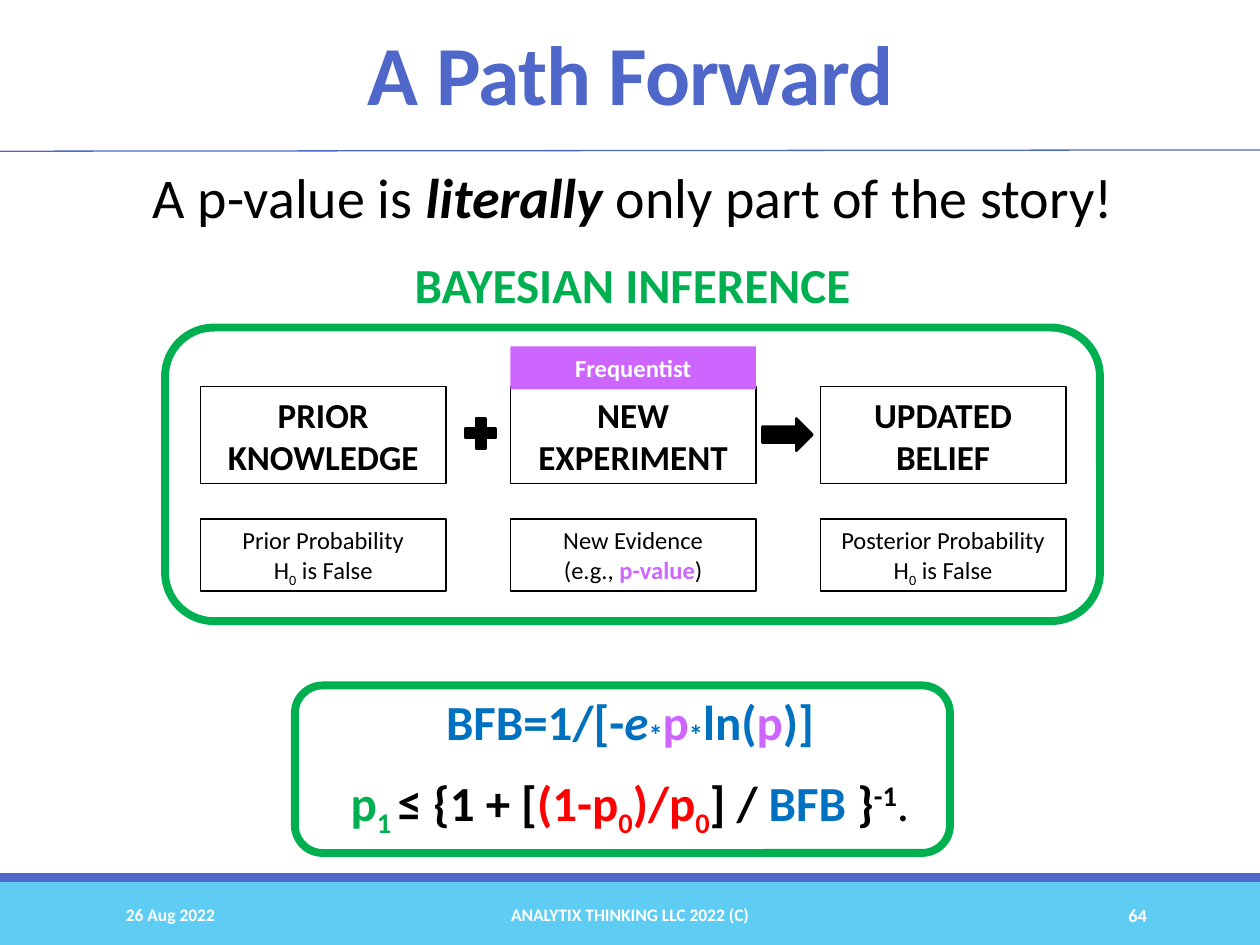
from pptx import Presentation
from pptx.dml.color import RGBColor
from pptx.enum.shapes import MSO_CONNECTOR, MSO_SHAPE
from pptx.enum.text import MSO_ANCHOR, PP_ALIGN
from pptx.util import Inches, Pt
from lxml.etree import SubElement
from pptx.oxml.ns import qn

COLORS = {
    "black": "000000", "white": "FFFFFF", "indigo": "4E67C8", "sky": "5ECCF3",
    "green": "00B050", "violet": "CC66FF", "blue": "0070C0", "red": "FF0000",
}

prs = Presentation()
prs.slide_width, prs.slide_height = Inches(10), Inches(7.5)
slide = prs.slides.add_slide(prs.slide_layouts[6])


def add_box(box, geometry=None, fill=None, line=None, width=0.75):
    """Add a preset shape, or a text box when no geometry is given."""
    place = [Inches(length) for length in box]
    if geometry is None:
        shape = slide.shapes.add_textbox(*place)
    else:
        shape = slide.shapes.add_shape(geometry, *place)
        shape.shadow.inherit = False
        if fill:
            shape.fill.solid()
            shape.fill.fore_color.rgb = RGBColor.from_string(COLORS[fill])
        else:
            shape.fill.background()
        if line:
            shape.line.color.rgb = RGBColor.from_string(COLORS[line])
            shape.line.width = Pt(width)
        else:
            shape.line.fill.background()
    shape.text_frame.word_wrap = True
    return shape


def write(shape, paragraphs, size, color="black", bold=False,
          align=PP_ALIGN.CENTER, anchor=MSO_ANCHOR.TOP):
    """Fill a shape; a run is (text, overrides) with color, bold, italic, base."""
    frame = shape.text_frame
    frame.vertical_anchor = anchor
    for index, runs in enumerate(paragraphs):
        paragraph = frame.add_paragraph() if index else frame.paragraphs[0]
        paragraph.alignment = align
        for text, look in runs:
            run = paragraph.add_run()
            run.text = text
            run.font.name = "Calibri"
            run.font.size = Pt(size)
            run.font.bold = look.get("bold", bold)
            run.font.italic = look.get("italic", False)
            run.font.color.rgb = RGBColor.from_string(COLORS[look.get("color", color)])
            if "base" in look:
                run.font._element.set("baseline", str(look["base"] * 1000))
    return frame


# Footer bands and title rule
add_box((0, 7, 10, 0.5), MSO_SHAPE.RECTANGLE, fill="sky")
add_box((0, 6.93, 10, 0.07), MSO_SHAPE.RECTANGLE, fill="indigo")
title_rule = slide.shapes.add_connector(
    MSO_CONNECTOR.STRAIGHT, Inches(0), Inches(1.2), Inches(10), Inches(1.19))
title_rule.line.color.rgb = RGBColor.from_string(COLORS["indigo"])
title_rule.line.width = Pt(0.75)
SubElement(title_rule._element.spPr, qn("a:effectLst"))

# Footer text
for left, width, text, size, align in (
    (0.9, 2.03, "26 Aug 2022", 10, PP_ALIGN.LEFT),
    (3.02, 3.96, "ANALYTIX THINKING LLC 2022 (C)", 10, PP_ALIGN.CENTER),
    (8.12, 1.08, "64", 10.5, PP_ALIGN.RIGHT),
):
    write(add_box((left, 7.06, width, 0.4)), [[(text, {})]], size, "white", True,
          align, MSO_ANCHOR.MIDDLE)

# Title and message
title = write(add_box((0.88, 0.16, 8.25, 0.86)), [[("A Path Forward", {})]],
              48, "indigo", True, anchor=MSO_ANCHOR.BOTTOM)
title.paragraphs[0].line_spacing = 0.85
title.paragraphs[0].runs[0].font._element.set("spc", "-50")

message = write(add_box((0.9, 1.3, 8.25, 0.62)), [[
    ("A p-value is ", {}),
    ("literally", {"bold": True, "italic": True}),
    (" only part of the story!", {}),
]], 32)
message.margin_left = message.margin_right = 0
message.paragraphs[0].line_spacing = 0.9

# Three steps of Bayesian inference, each with its measure below
null_is_false = [("H", {}), ("0", {"base": -25}), (" is False", {})]
steps = [
    ([[("PRIOR KNOWLEDGE", {})]],
     [[("Prior Probability", {})], null_is_false]),
    ([[("NEW", {})], [("EXPERIMENT", {})]],
     [[("New Evidence", {})],
      [("(e.g., ", {}), ("p-value", {"color": "violet", "bold": True}), (")", {})]]),
    ([[("UPDATED BELIEF", {})]],
     [[("Posterior Probability", {})], null_is_false]),
]
for column, (step, measure) in enumerate(steps):
    left = 1.59 + 2.46 * column
    write(add_box((left, 3.07, 1.95, 0.77), MSO_SHAPE.RECTANGLE, line="black"),
          step, 20, bold=True)
    write(add_box((left, 4.12, 1.95, 0.57), MSO_SHAPE.RECTANGLE, line="black"),
          measure, 14)

write(add_box((4.05, 2.75, 1.95, 0.34), MSO_SHAPE.RECTANGLE, fill="violet"),
      [[("Frequentist", {})]], 14, "white", True)
add_box((3.65, 3.27, 0.33, 0.34), MSO_SHAPE.MATH_PLUS, "black", "black", 1.25)
add_box((6.05, 3.32, 0.4, 0.26), MSO_SHAPE.RIGHT_ARROW, "black", "black", 1.25)

# Frame and heading of the inference steps
add_box((1.31, 2.6, 7.42, 2.33), MSO_SHAPE.ROUNDED_RECTANGLE, line="green", width=4.5)
write(add_box((3.05, 1.97, 3.94, 0.57)), [[("BAYESIAN INFERENCE", {})]],
      28, "green", True)

# Bayes factor bound and posterior formula
times = ("*", {"color": "blue", "base": -10})
p_value = ("p", {"color": "violet"})
formulas = write(add_box((2.46, 5.44, 5.08, 1.21)), [
    [("BFB=1/[-", {"color": "blue"}), ("e", {"color": "blue", "italic": True}),
     times, p_value, times, ("ln(", {"color": "blue"}), p_value,
     (")]", {"color": "blue"})],
    [("p", {"color": "green"}), ("1 ", {"color": "green", "base": -25}),
     ("≤ {1 + [", {}),
     ("(1-p", {"color": "red"}), ("0", {"color": "red", "base": -25}),
     (")/p", {"color": "red"}), ("0", {"color": "red", "base": -25}),
     ("] / ", {}), ("BFB", {"color": "blue"}), (" }", {}),
     ("-1", {"base": 30}), (".", {"bold": False})],
], 28, bold=True)
formulas.paragraphs[1].space_before = Pt(12)
add_box((2.34, 5.44, 5.2, 1.33), MSO_SHAPE.ROUNDED_RECTANGLE, line="green", width=4.5)

prs.save("out.pptx")
